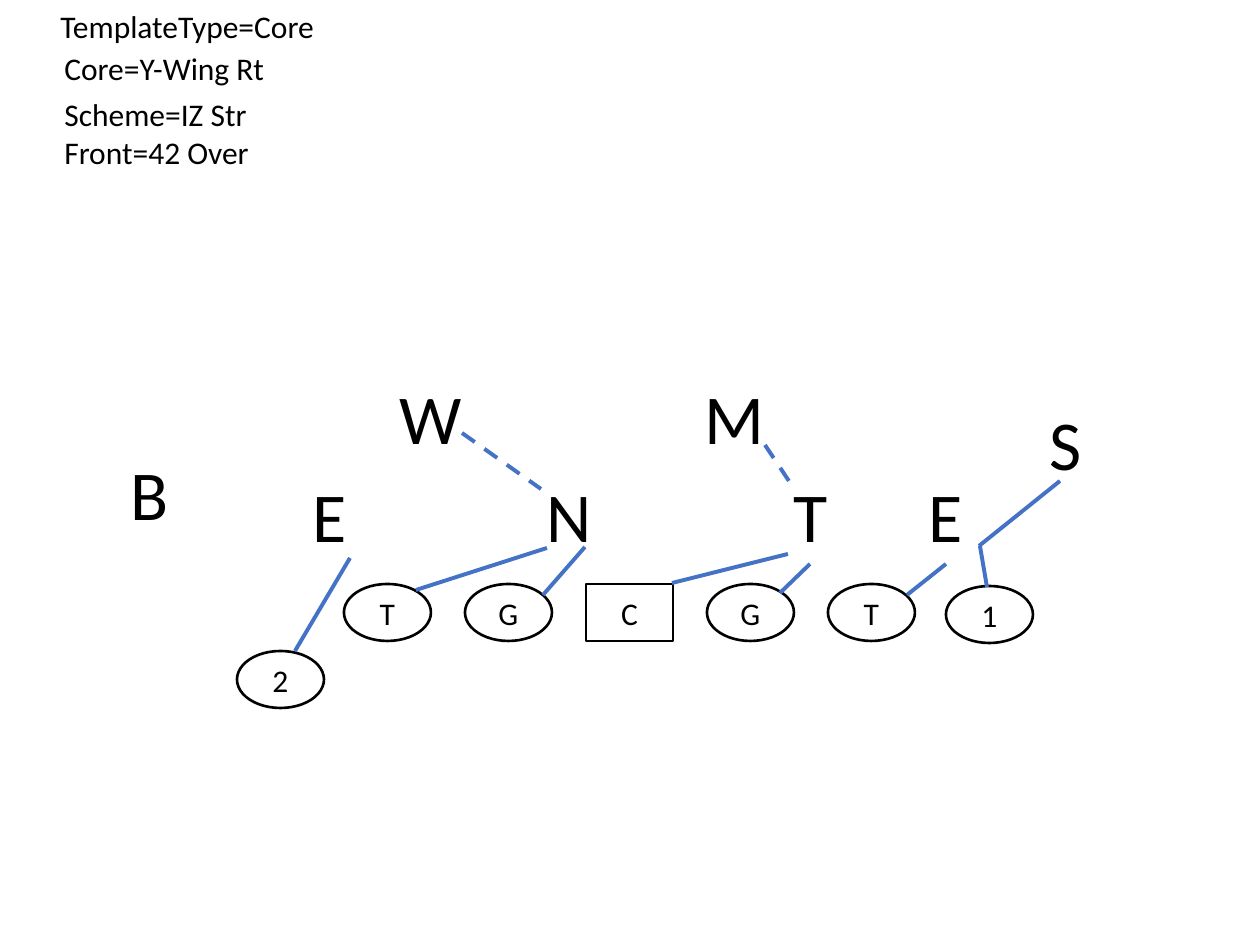
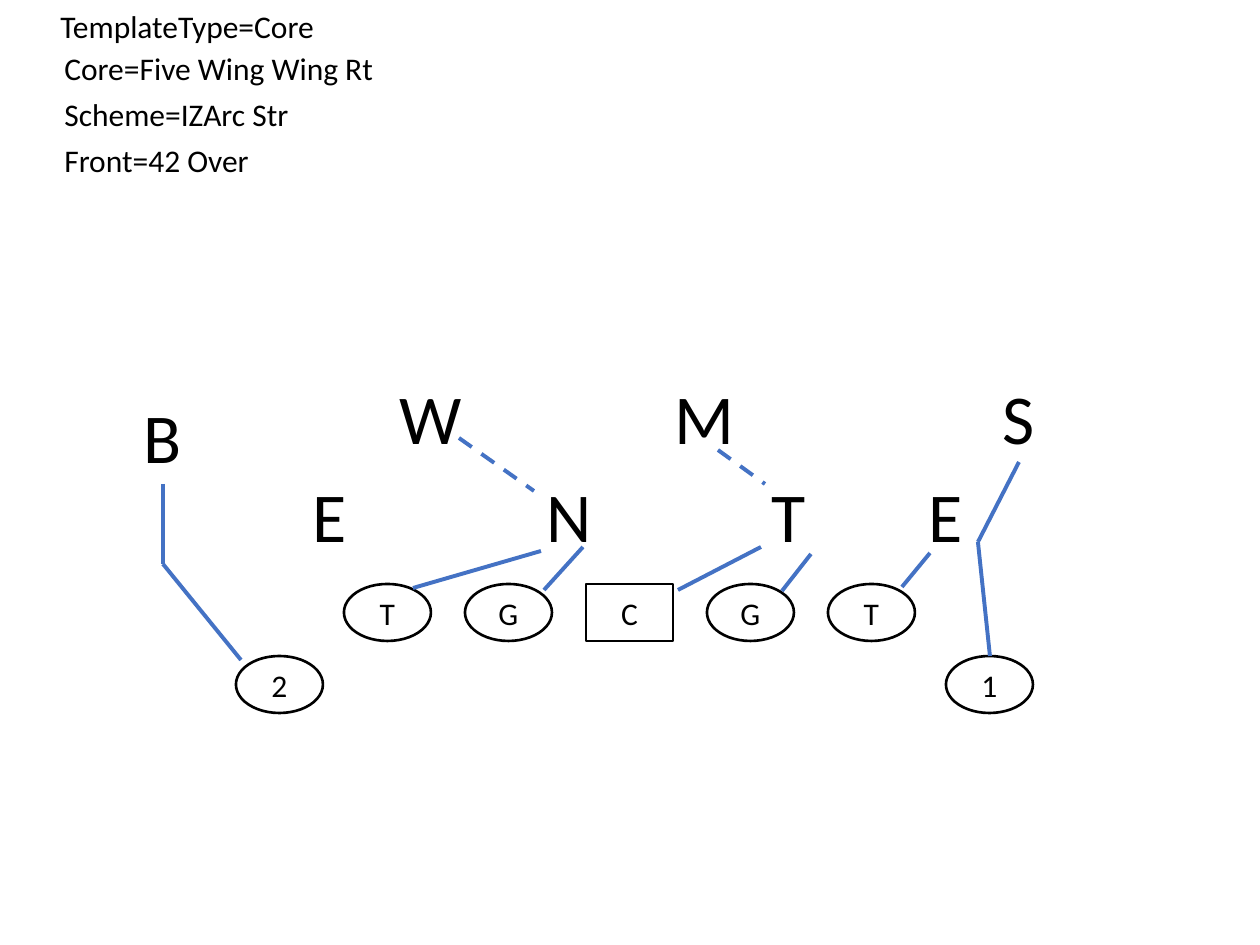
from pptx import Presentation
from pptx.dml.color import RGBColor
from pptx.enum.dml import MSO_LINE
from pptx.enum.shapes import MSO_CONNECTOR, MSO_SHAPE
from pptx.enum.text import MSO_ANCHOR, MSO_AUTO_SIZE, PP_ALIGN
from pptx.oxml.ns import qn
from pptx.util import Pt
from lxml import etree

SCALE = 914400 // 126
BLACK = RGBColor(0x00, 0x00, 0x00)
WHITE = RGBColor(0xFF, 0xFF, 0xFF)
BLUE = RGBColor(0x44, 0x72, 0xC4)
FONT = "Calibri"
OVAL, RECT = MSO_SHAPE.OVAL, MSO_SHAPE.RECTANGLE
LINE, DASH = MSO_CONNECTOR.STRAIGHT, MSO_LINE.DASH
MID, MIDDLE = PP_ALIGN.CENTER, MSO_ANCHOR.MIDDLE
GROW = MSO_AUTO_SIZE.SHAPE_TO_FIT_TEXT

HEAD = (48, 1)
FIELD = (110, 360)
PITCH = 121
WIDE = {"N": 71, "W": 88, "M": 88, "B": 64}


def px(*vals):
    """Turn pixels into EMU."""
    return [round(v * SCALE) for v in vals]


def write(frame, text, size):
    """Add one run of black text to the first paragraph."""
    run = frame.paragraphs[0].add_run()
    run.text = text
    run.font.name = FONT
    run.font.size = Pt(size)
    run.font.color.rgb = BLACK


def label(slide, box, text, size):
    """Place unwrapped text that sets its own size."""
    frame = slide.shapes.add_textbox(*px(*box)).text_frame
    frame.word_wrap = False
    frame.auto_size = GROW
    write(frame, text, size)


def player(slide, x, y, text, kind=OVAL):
    """Place one outlined player of the offense."""
    shape = slide.shapes.add_shape(kind, *px(x, y, 87, 57))
    shape.shadow.inherit = False
    shape.fill.solid()
    shape.fill.fore_color.rgb = WHITE
    shape.line.color.rgb = BLACK
    shape.line.width = Pt(1.5)
    frame = shape.text_frame
    frame.vertical_anchor = MIDDLE
    frame.paragraphs[0].alignment = MID
    write(frame, text, 18)


def route(slide, start, end, dash=False):
    """Draw one blocking line, solid or dashed."""
    line = slide.shapes.add_connector(LINE, *px(*start, *end))
    line.line.color.rgb = BLUE
    line.line.width = Pt(2.25)
    if dash:
        line.line.dash_style = DASH
    etree.SubElement(line._element.spPr, qn("a:effectLst"))


def head(slide, spot, rows):
    """List the settings of the play: indent, drop, width, text."""
    left, top = spot
    for x, y, w, text in rows:
        label(slide, (left + x, top + y, w, 50), text, 18)


def field(slide, spot, play):
    """Draw the line, the wings, the defense and the routes."""
    left, top = spot
    for i, text in enumerate("TGCGT"):
        player(slide, left + 234 + i * PITCH, top + 224, text,
               RECT if text == "C" else OVAL)
    for text, x, y in play["wings"]:
        player(slide, left + x, top + y, text)
    for text, x, y in FRONT + play["front"]:
        label(slide, (left + x, top + y, WIDE.get(text, 60), 97), text, 40)
    for key in ("solid", "dash"):
        for x1, y1, x2, y2 in play[key]:
            route(slide, (left + x1, top + y1), (left + x2, top + y2),
                  key == "dash")


FRONT = [("E", 190, 106), ("N", 424, 106), ("E", 806, 106), ("W", 277, 8)]
PLAYS = [
    {
        "head": [(0, 0, 282, "TemplateType=Core"),
                 (4, 42, 230, "Core=Y-Wing Rt"),
                 (4, 88, 209, "Scheme=IZ Str"),
                 (4, 126, 212, "Front=42 Over")],
        "wings": [("1", 836, 226), ("2", 127, 291)],
        "front": [("T", 671, 106), ("M", 582, 8), ("S", 927, 34),
                  ("B", 8, 84)],
        "solid": [(836, 204, 797, 235), (870, 186, 877, 227),
                  (869, 186, 950, 121), (700, 204, 670, 233),
                  (562, 223, 678, 194), (475, 187, 433, 235),
                  (437, 188, 306, 230), (240, 198, 185, 291)],
        "dash": [(655, 85, 685, 130), (352, 73, 431, 129)],
    },
    {
        "head": [(0, 0, 282, "TemplateType=Core"),
                 (4, 42, 338, "Core=Five Wing Wing Rt"),
                 (4, 88, 252, "Scheme=IZArc Str"),
                 (4, 134, 212, "Front=42 Over")],
        "wings": [("1", 836, 296), ("2", 126, 296)],
        "front": [("T", 649, 106), ("M", 552, 8), ("S", 880, 8),
                  ("B", 21, 27)],
        "solid": [(431, 191, 303, 228), (473, 187, 434, 230),
                  (701, 194, 672, 231), (651, 187, 568, 230),
                  (820, 193, 792, 227), (880, 296, 868, 182),
                  (868, 182, 909, 102), (53, 124, 53, 204),
                  (53, 204, 131, 300)],
        "dash": [(349, 78, 424, 131), (608, 90, 655, 124)],
    },
]

deck = Presentation()
deck.slide_width, deck.slide_height = px(1260, 945)
for play in PLAYS:
    slide = deck.slides.add_slide(deck.slide_layouts[6])
    head(slide, HEAD, play["head"])
    field(slide, FIELD, play)
deck.save("out.pptx")
